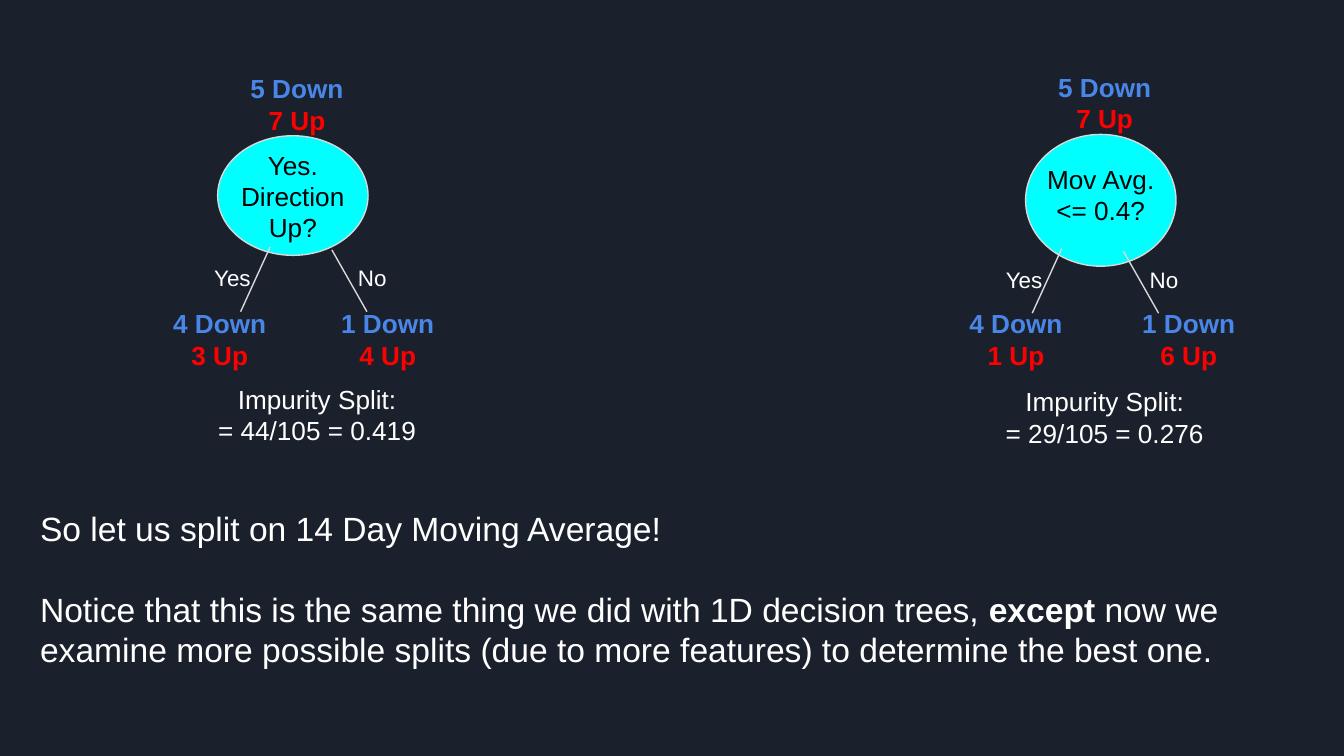
import pptx
import pptx.util
import pptx.dml.color
import pptx.enum.shapes
import pptx.enum.text
import pptx.oxml.ns
from lxml import etree

Pt = pptx.util.Pt
ALIGN = pptx.enum.text.PP_ALIGN
ANCHOR = pptx.enum.text.MSO_ANCHOR

# Content: node and fork hold positions, leaves hold (centre, down, up)
TREES = [
    {"ask": "Yes. Direction Up?", "anchor": ANCHOR.TOP,
     "node": (116.6, 72.7, 80.6, 64.1), "ask_h": 59.8,
     "root": (159.1, "5 Down", "7 Up"), "fork": (100.8, 134.6),
     "leaves": [(117.7, "4 Down", "3 Up"), (207.7, "1 Down", "4 Up")],
     "score": (169.9, 198, "= 44/105 = 0.419")},
    {"ask": "Mov Avg. <= 0.4?", "anchor": ANCHOR.MIDDLE,
     "node": (549.4, 72, 80.6, 70.6), "ask_h": 64.1,
     "root": (591.8, "5 Down", "7 Up"), "fork": (524.9, 135.4),
     "leaves": [(544.3, "4 Down", "1 Up"), (636.8, "1 Down", "6 Up")],
     "score": (591.8, 199.4, "= 29/105 = 0.276")},
]
# Branches relative to the fork: label, label offset, line start, line end
FORKS = [
    ("Yes", 0, (43.9, -2.2), (28.1, 32.4)),
    ("No", 74.9, (77, -0.7), (95.8, 32.4)),
]
NOTES = [
    [("So let us split on 14 Day Moving Average!", False)],
    [("Notice that this is the same thing we did with 1D decision trees, ", False),
     ("except", True),
     (" now we examine more possible splits (due to more features)"
      " to determine the best one.", False)],
]
THEME = {
    "font": "Arial", "back": "1B212C", "text": "FFFFFF", "node": "00FFFF",
    "ask": "000000", "line": "D9D9D9", "down": "4A86E8", "up": "FF0000",
    "small": 12, "mid": 14, "large": 18, "lead": 1.2, "inset": 7.2,
}
LEAF_TOP, ROOT_RISE, COUNT_W, COUNT_H = 157.7, 41, 74, 40.3


def color(name):
    return pptx.dml.color.RGBColor.from_string(THEME[name])


def style(para, size, ink, bold=None, align=ALIGN.CENTER):
    para.alignment = align
    para.line_spacing = Pt(THEME[size] * THEME["lead"])
    font = para.font
    font.name, font.size, font.bold = THEME["font"], Pt(THEME[size]), bold
    font.color.rgb = color(ink)


def frame(slide, left, top, width, height, anchor=ANCHOR.TOP):
    box = slide.shapes.add_textbox(Pt(left), Pt(top), Pt(width), Pt(height))
    text = box.text_frame
    text.word_wrap, text.vertical_anchor = True, anchor
    text.margin_left = text.margin_right = Pt(THEME["inset"])
    text.margin_top = text.margin_bottom = Pt(THEME["inset"])
    return text


def lines(text, rows, size, bold=None):
    """Fill a text frame with (words, ink) rows, one paragraph each."""
    for i, (words, ink) in enumerate(rows):
        para = text.add_paragraph() if i else text.paragraphs[0]
        para.text = words
        style(para, size, ink, bold)


def counts(slide, mid, top, down, up):
    text = frame(slide, mid - COUNT_W / 2, top, COUNT_W, COUNT_H)
    lines(text, [(down, "down"), (up, "up")], "mid", True)


def edge(slide, start, end):
    line = slide.shapes.add_connector(
        pptx.enum.shapes.MSO_CONNECTOR.STRAIGHT, *map(Pt, start + end))
    line.line.color.rgb, line.line.width = color("line"), Pt(0.75)
    etree.SubElement(line._element.spPr, pptx.oxml.ns.qn("a:effectLst"))


def tree(slide, data):
    # Question node with the counts above it
    left, top, width, height = data["node"]
    node = slide.shapes.add_shape(
        pptx.enum.shapes.MSO_SHAPE.OVAL, *map(Pt, data["node"]))
    node.shadow.inherit = False
    node.fill.solid()
    node.fill.fore_color.rgb = color("node")
    node.line.color.rgb, node.line.width = color("line"), Pt(0.75)
    text = frame(slide, left + 3.2, top, width - 6.4, data["ask_h"], data["anchor"])
    lines(text, [(data["ask"], "ask")], "mid")
    mid, down, up = data["root"]
    counts(slide, mid, top - ROOT_RISE, down, up)

    # Branches and leaves
    x, y = data["fork"]
    for (label, shift, start, end), (mid, down, up) in zip(FORKS, data["leaves"]):
        counts(slide, mid, LEAF_TOP, down, up)
        lines(frame(slide, x + shift, y, 47.5, 26.6), [(label, "text")], "small")
        edge(slide, (x + start[0], y + start[1]), (x + end[0], y + end[1]))

    # Impurity
    mid, top, score = data["score"]
    text = frame(slide, mid - 62.6, top, 125.2, 50)
    lines(text, [("Impurity Split:", "text"), (score, "text")], "mid")


def main():
    deck = pptx.Presentation()
    deck.slide_width, deck.slide_height = Pt(720), Pt(405)
    slide = deck.slides.add_slide(deck.slide_layouts[6])
    slide.background.fill.solid()
    slide.background.fill.fore_color.rgb = color("back")
    for data in TREES:
        tree(slide, data)

    # Conclusion
    text = frame(slide, 14.4, 265, 691.2, 126)
    for i, runs in enumerate(NOTES):
        para = text.add_paragraph() if i else text.paragraphs[0]
        style(para, "large", "text", align=ALIGN.LEFT)
        if i:
            para.space_before = Pt(THEME["large"] * THEME["lead"])
        for words, bold in runs:
            run = para.add_run()
            run.text, run.font.bold = words, bold
    deck.save("out.pptx")


if __name__ == "__main__":
    main()
